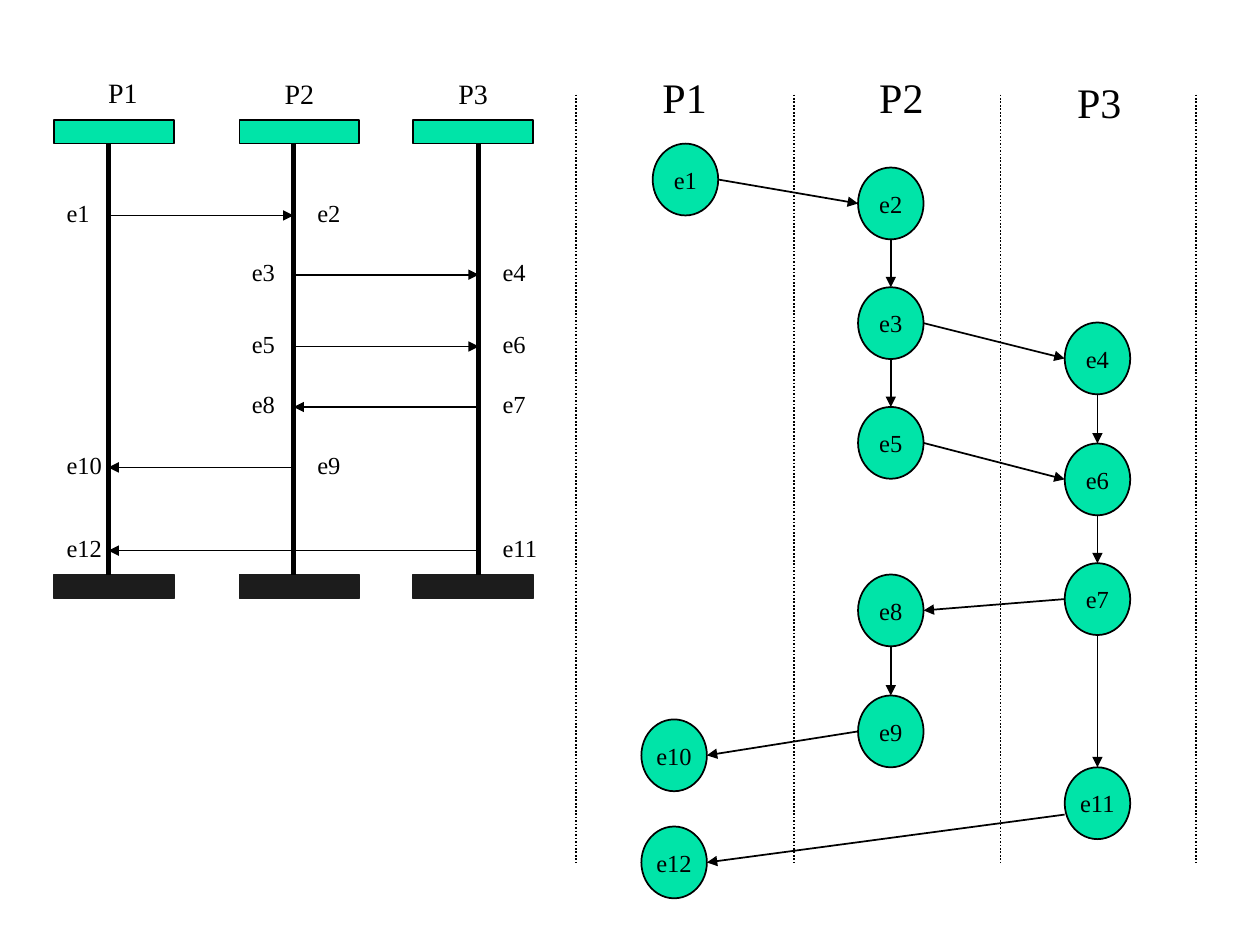
import pptx
import pptx.util
import pptx.dml.color
import pptx.enum.dml
import pptx.enum.shapes
import pptx.enum.text
import pptx.oxml
import pptx.oxml.ns

Inches = pptx.util.Inches
GREEN, BLACK, CHARCOAL = "00E4A8", "000000", "1C1C1C"
FONT = "Times New Roman"
NODE_WIDTH, NODE_HEIGHT = 0.52, 0.57


def color(value):
    return pptx.dml.color.RGBColor.from_string(value)


def write(shape, text, size):
    frame = shape.text_frame
    frame.word_wrap = False
    run = frame.paragraphs[0].add_run()
    run.text = text
    run.font.name = FONT
    run.font.size = pptx.util.Pt(size)
    run.font.color.rgb = color(BLACK)
    return frame


def add_label(slide, text, left, top, width, height, size):
    box = slide.shapes.add_textbox(Inches(left), Inches(top), Inches(width), Inches(height))
    frame = write(box, text, size)
    frame.auto_size = pptx.enum.text.MSO_AUTO_SIZE.SHAPE_TO_FIT_TEXT


def add_block(slide, kind, left, top, width, height, fill, outline):
    shape = slide.shapes.add_shape(kind, Inches(left), Inches(top), Inches(width), Inches(height))
    shape.shadow.inherit = False
    shape.fill.solid()
    shape.fill.fore_color.rgb = color(fill)
    shape.line.color.rgb = color(outline)
    shape.line.width = pptx.util.Pt(1)
    return shape


def add_line(slide, start, end, width=1, arrow=False, dotted=False):
    connector = slide.shapes.add_connector(
        pptx.enum.shapes.MSO_CONNECTOR.STRAIGHT, *map(Inches, (*start, *end)))
    connector.line.color.rgb = color(BLACK)
    connector.line.width = pptx.util.Pt(width)
    if dotted:
        connector.line.dash_style = pptx.enum.dml.MSO_LINE.ROUND_DOT
    properties = connector._element.spPr
    if arrow:
        tail = pptx.oxml.parse_xml(f'<a:tailEnd {pptx.oxml.ns.nsdecls("a")} type="triangle"/>')
        properties.find(pptx.oxml.ns.qn("a:ln")).append(tail)
    properties.append(pptx.oxml.parse_xml(f'<a:effectLst {pptx.oxml.ns.nsdecls("a")}/>'))


def add_sequence_diagram(slide, left, top):
    processes = [("P1", 0.33, 0, 0), ("P2", 1.73, 0.01, 1.47), ("P3", 3.11, 0.01, 2.85)]
    axes = [left + 0.43 + 1.47 * index for index in range(len(processes))]
    messages = [
        ("e1", 0, "e2", 1, 1.16),
        ("e3", 1, "e4", 2, 1.63),
        ("e5", 1, "e6", 2, 2.2),
        ("e7", 2, "e8", 1, 2.68),
        ("e9", 1, "e10", 0, 3.16),
        ("e11", 2, "e12", 0, 3.82),
    ]
    rectangle = pptx.enum.shapes.MSO_SHAPE.RECTANGLE
    for (name, label_x, label_y, bar_x), axis in zip(processes, axes):
        for bar_y, fill, outline in ((0.4, GREEN, BLACK), (4.01, CHARCOAL, CHARCOAL)):
            add_block(slide, rectangle, left + bar_x, top + bar_y, 0.95, 0.19, fill, outline)
        add_line(slide, (axis, top + 0.59), (axis, top + 4.01), width=3)
        add_label(slide, name, left + label_x, top + label_y, 0.45, 0.37, 16)
    for sender, source, receiver, target, offset in messages:
        y = top + offset
        add_line(slide, (axes[source], y), (axes[target], y), arrow=True)
        for event, own, other in ((sender, source, target), (receiver, target, source)):
            label_x = axes[own] + (-0.43 if own < other else 0.09)
            width = 0.4 if len(event) == 2 else 0.5
            add_label(slide, event, label_x, y - 0.19, width, 0.34, 14)


def add_flow(slide, source, target, drop):
    source_x, source_y = source
    target_x, target_y = target
    half_width, half_height = NODE_WIDTH / 2, NODE_HEIGHT / 2
    if source_x == target_x:
        start = (source_x, source_y + half_height)
        end = (target_x, target_y - half_height)
    else:
        reach = half_width if target_x > source_x else -half_width
        start = (source_x + reach, source_y + drop)
        end = (target_x - reach, target_y)
    add_line(slide, start, end, arrow=True)


def add_event_graph(slide, left, top):
    for x in (0, 1.73, 3.37, 4.92):
        add_line(slide, (left + x, top + 0.23), (left + x, top + 6.33), dotted=True)
    for name, x, y in (("P1", 0.59, 0), ("P2", 2.31, 0), ("P3", 3.88, 0.04)):
        add_label(slide, name, left + x, top + y, 0.57, 0.5, 24)

    nodes = {
        "e1": (0.61, 0.62),
        "e2": (2.24, 0.81), "e3": (2.24, 1.76), "e5": (2.24, 2.71),
        "e8": (2.24, 4.04), "e9": (2.24, 5),
        "e4": (3.88, 2.04), "e6": (3.88, 3), "e7": (3.88, 3.95), "e11": (3.88, 5.57),
        "e10": (0.52, 5.19), "e12": (0.52, 6.04),
    }
    centers = {}
    for name, (x, y) in nodes.items():
        shape = add_block(slide, pptx.enum.shapes.MSO_SHAPE.OVAL, left + x, top + y,
                          NODE_WIDTH, NODE_HEIGHT, GREEN, BLACK)
        frame = write(shape, name, 14)
        frame.vertical_anchor = pptx.enum.text.MSO_ANCHOR.MIDDLE
        frame.paragraphs[0].alignment = pptx.enum.text.PP_ALIGN.CENTER
        centers[name] = (left + x + NODE_WIDTH / 2, top + y + NODE_HEIGHT / 2)

    flows = [
        ("e1", "e2", 0), ("e2", "e3", 0), ("e3", "e5", 0), ("e3", "e4", 0),
        ("e5", "e6", 0), ("e4", "e6", 0), ("e6", "e7", 0), ("e7", "e11", 0),
        ("e7", "e8", 0), ("e8", "e9", 0), ("e9", "e10", 0), ("e11", "e12", 0.09),
    ]
    for source, target, drop in flows:
        add_flow(slide, centers[source], centers[target], drop)


def main():
    presentation = pptx.Presentation()
    presentation.slide_width = Inches(10)
    presentation.slide_height = Inches(7.5)
    slide = presentation.slides.add_slide(presentation.slide_layouts[6])
    add_sequence_diagram(slide, 0.43, 0.55)
    add_event_graph(slide, 4.57, 0.52)
    presentation.save("out.pptx")


if __name__ == "__main__":
    main()
